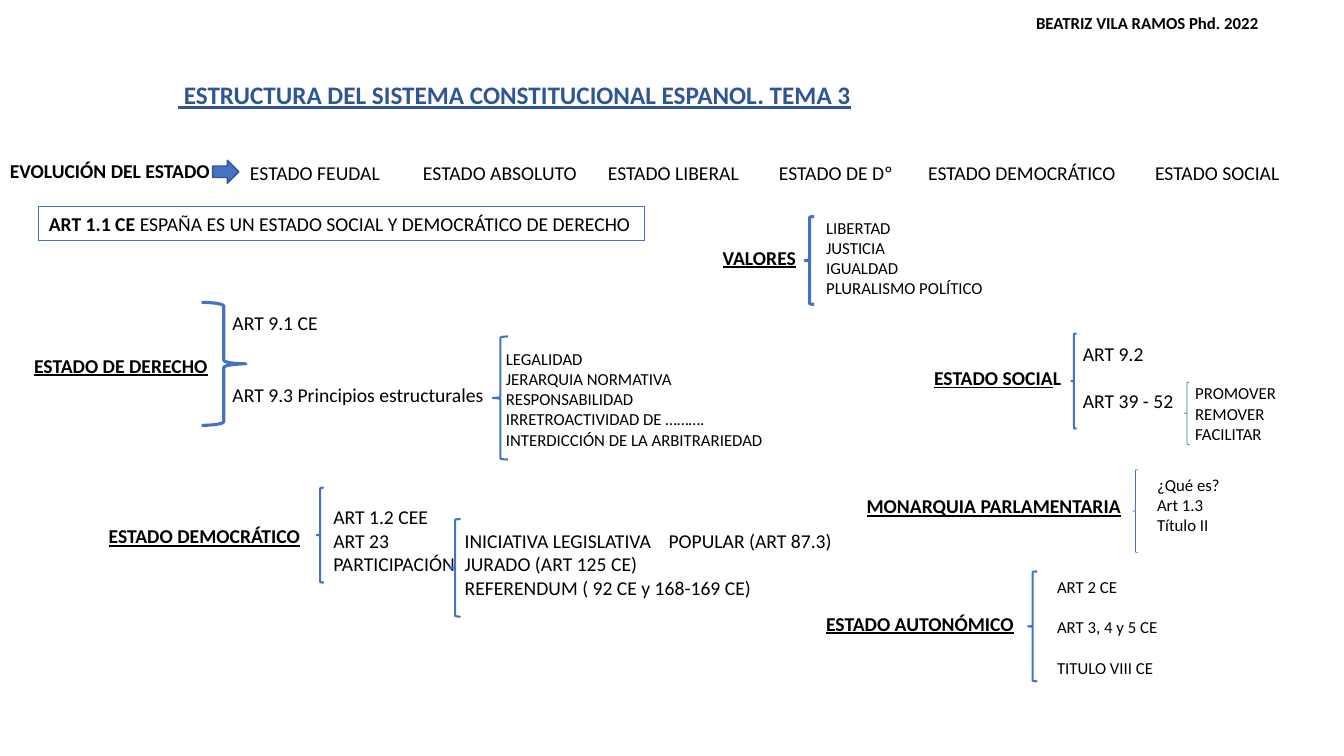
from pptx import Presentation
from pptx import util as u
from pptx.dml.color import RGBColor
from pptx.enum import shapes, text
from pptx.oxml.ns import qn
from lxml import etree

COLORS = {"ink": "000000", "title": "2F5597", "accent": "4472C4", "arrow_edge": "325491"}
BODY = {"name": "Calibri", "size": u.Pt(14)}
DETAIL = {**BODY, "size": u.Pt(12)}
STRONG = {**BODY, "bold": True}
HEADING = {**STRONG, "underline": True}
TITLE = {**HEADING, "size": u.Pt(18)}
CREDIT = {**DETAIL, "bold": True}


def place(box):
    return [u.Cm(length) for length in box]


def format_font(font, style, color):
    for attribute, value in style.items():
        setattr(font, attribute, value)
    font.color.rgb = RGBColor.from_string(COLORS[color])


def add_tab_stops(paragraph, stops):
    tab_list = etree.SubElement(paragraph._p.get_or_add_pPr(), qn("a:tabLst"))
    for stop in stops:
        etree.SubElement(tab_list, qn("a:tab"), pos=str(u.Cm(stop)), algn="l")


def write(frame, lines, style, color="ink", stops=(), gap=0):
    """Each line is a string, or a list of (words, style) pairs."""
    frame.word_wrap = True
    frame.auto_size = text.MSO_AUTO_SIZE.SHAPE_TO_FIT_TEXT
    for index, line in enumerate(lines):
        paragraph = frame.paragraphs[0] if index == 0 else frame.add_paragraph()
        paragraph.alignment = text.PP_ALIGN.LEFT
        if stops:
            add_tab_stops(paragraph, stops)
        if index and gap:
            paragraph.space_before = u.Pt(gap)
        pieces = [(line, style)] if isinstance(line, str) else line
        for words, piece_style in pieces:
            run = paragraph.add_run()
            run.text = words
            format_font(run.font, piece_style, color)


def add_text(slide, box, lines, style=BODY, **options):
    write(slide.shapes.add_textbox(*place(box)).text_frame, lines, style, **options)


def add_figure(slide, kind, box, weight, line="accent", fill=None):
    figure = slide.shapes.add_shape(kind, *place(box))
    figure.shadow.inherit = False
    if fill:
        figure.fill.solid()
        figure.fill.fore_color.rgb = RGBColor.from_string(COLORS[fill])
    else:
        figure.fill.background()
    figure.line.color.rgb = RGBColor.from_string(COLORS[line])
    figure.line.width = u.Pt(weight)
    return figure


def main():
    deck = Presentation()
    deck.slide_width, deck.slide_height = u.Cm(33.87), u.Cm(19.05)
    slide = deck.slides.add_slide(deck.slide_layouts[6])
    kinds = shapes.MSO_SHAPE

    # Title and author
    add_text(slide, (4.24, 1.88, 25.4, 1.02),
             [" ESTRUCTURA DEL SISTEMA CONSTITUCIONAL ESPANOL. TEMA 3"], TITLE, color="title")
    add_text(slide, (25.86, 0.2, 7.19, 0.76), ["BEATRIZ VILA RAMOS Phd. 2022"], CREDIT)

    # Evolution of the state
    stages = ["ESTADO FEUDAL", "ESTADO ABSOLUTO", "ESTADO LIBERAL",
              "ESTADO DE Dº", "ESTADO DEMOCRÁTICO", "ESTADO SOCIAL"]
    add_text(slide, (0, 3.89, 6, 0.86), ["EVOLUCIÓN DEL ESTADO"], STRONG)
    add_text(slide, (6.05, 3.94, 26.72, 0.86), ["\t".join(stages)],
             stops=(4.36, 9.02, 13.33, 17.09, 22.81))
    add_figure(slide, kinds.RIGHT_ARROW, (5.36, 4.04, 0.66, 0.58), 1, "arrow_edge", "accent")

    # Article 1.1
    article = add_figure(slide, kinds.RECTANGLE, (0.98, 5.21, 15.27, 0.86), 0.75)
    write(article.text_frame, [[
        ("ART 1.1 CE ", STRONG),
        ("ESPAÑA ES UN ESTADO SOCIAL Y DEMOCRÁTICO DE DERECHO", BODY)]], BODY)

    # Headings of the branches
    headings = [
        ("VALORES", (17.96, 6.06, 2.5, 0.86)),
        ("ESTADO DE DERECHO", (0.61, 8.79, 5.2, 0.86)),
        ("ESTADO DEMOCRÁTICO", (2.49, 13.08, 5.61, 0.86)),
        ("MONARQUIA PARLAMENTARIA", (21.59, 12.32, 6.96, 0.86)),
        ("ESTADO AUTONÓMICO", (20.57, 15.29, 5.5, 0.86)),
    ]
    for heading, box in headings:
        add_text(slide, box, [heading], HEADING)

    # Articles of each branch
    add_text(slide, (5.61, 7.72, 9.75, 2.64),
             ["ART 9.1 CE", "ART 9.3 Principios estructurales"], gap=34.2)
    add_text(slide, (23.29, 8.5, 9.09, 2.06),
             ["\tART 9.2",
              [("ESTADO SOCIA", HEADING), ("L", STRONG)],
              "\tART 39 - 52"], stops=(3.75,))
    add_text(slide, (3, 12.6, 25.91, 2.66),
             ["\tART 1.2 CEE",
              "\tART 23\tINICIATIVA LEGISLATIVA\tPOPULAR (ART 87.3)",
              "\tPARTICIPACIÓN\tJURADO (ART 125 CE)",
              "\t\tREFERENDUM ( 92 CE y 168-169 CE)"], stops=(5.15, 8.46, 13.6))

    # Detail lists
    details = [
        ((20.57, 5.36, 6.58, 2.31), 0,
         ["LIBERTAD", "JUSTICIA", "IGUALDAD", "PLURALISMO POLÍTICO"]),
        ((12.5, 8.66, 7.14, 2.82), 0,
         ["LEGALIDAD", "JERARQUIA NORMATIVA", "RESPONSABILIDAD",
          "IRRETROACTIVIDAD DE ……….", "INTERDICCIÓN DE LA ARBITRARIEDAD"]),
        ((29.87, 9.53, 2.9, 1.8), 0, ["PROMOVER", "REMOVER", "FACILITAR"]),
        ((28.91, 11.84, 3.48, 1.8), 0, ["¿Qué es?", "Art 1.3", "Título II"]),
        ((26.39, 14.4, 6.65, 2.82), 14.65, ["ART 2 CE", "ART 3, 4 y 5 CE", "TITULO VIII CE"]),
    ]
    for box, gap, lines in details:
        add_text(slide, box, lines, DETAIL, gap=gap)

    # Braces
    add_figure(slide, kinds.RIGHT_BRACE, (5.08, 7.62, 1.12, 3.1), 2.25)
    left_braces = [
        ((20.29, 5.46, 0.23, 2.21), 2.25),
        ((12.42, 8.48, 0.38, 3.1), 1.5),
        ((27, 8.41, 0.13, 2.39), 1.5),
        ((29.85, 9.63, 0.13, 1.57), 0.5),
        ((7.98, 12.29, 0.18, 2.39), 1.5),
        ((11.33, 13.08, 0.28, 2.46), 1.5),
        ((28.55, 11.84, 0.13, 2.08), 0.5),
        ((25.91, 14.4, 0.23, 2.77), 1.5),
    ]
    for box, weight in left_braces:
        add_figure(slide, kinds.LEFT_BRACE, box, weight)

    deck.save("out.pptx")


if __name__ == "__main__":
    main()
